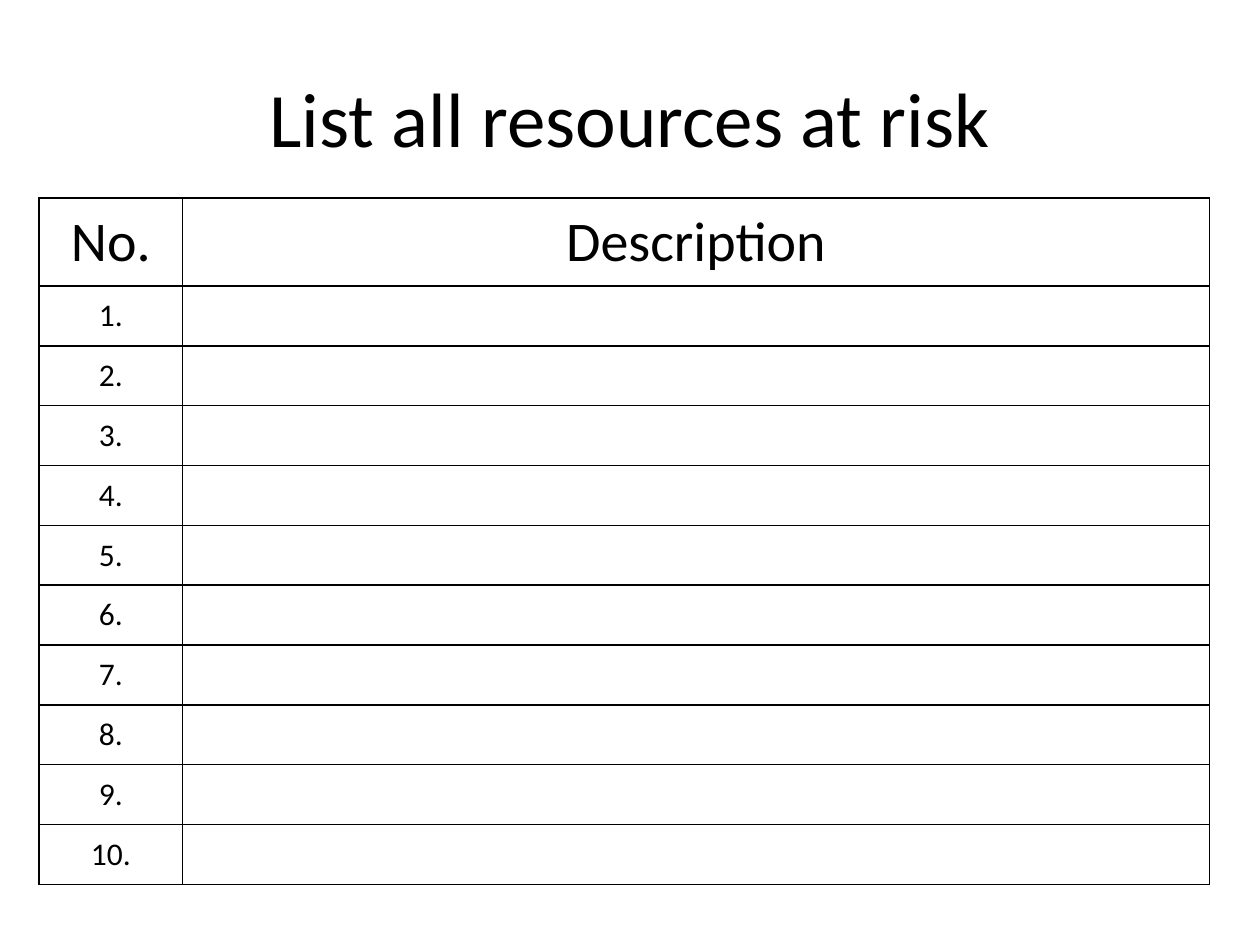
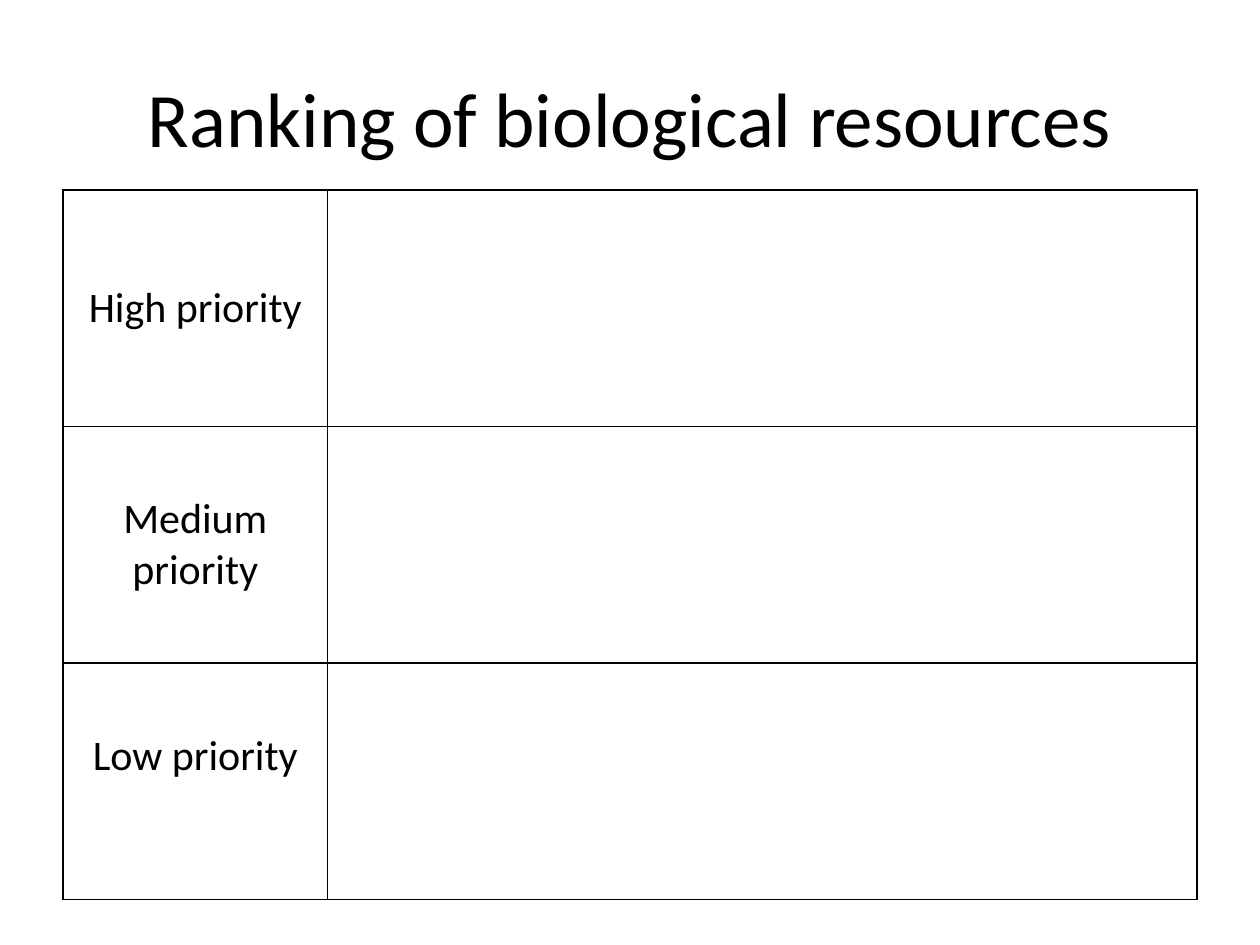
from lxml import etree
from pptx import Presentation
from pptx import util as u
from pptx.dml.color import RGBColor
from pptx.enum import text
from pptx.oxml import ns

# Content: row labels go in the first column, the rest is left to fill in
COLORS = {"ink": "000000", "paper": "FFFFFF"}
FONT = "Calibri"
TITLE_BOX = (0.5, 0.3, 9, 1.25)
SLIDES = [
    {
        "title": "List all resources at risk",
        "rows": [("No.", "Description")] + [(f"{number}.", "") for number in range(1, 11)],
        "origin": (0.31, 1.57),
        "columns": (1.14, 8.15),
        "heights": [0.7] + [0.475] * 10,
        "sizes": [32] + [18] * 10,
        "last_label_margin": 0.05,
    },
    {
        "title": "Ranking of biological resources",
        "rows": [("High priority", ""), ("Medium priority", ""), ("Low priority", "")],
        "origin": (0.5, 1.51),
        "columns": (2.1, 6.9),
        "heights": [1.876] * 3,
        "sizes": [24] * 3,
        "last_label_margin": 0.45,  # lifts the last label above the middle
    },
]


def write(frame, words, size, color="ink"):
    """Put one centred paragraph in a text frame."""
    paragraph = frame.paragraphs[0]
    paragraph.text = words
    paragraph.alignment = text.PP_ALIGN.CENTER
    paragraph.font.size = u.Pt(size)
    paragraph.font.name = FONT
    paragraph.font.bold = False
    paragraph.font.color.rgb = RGBColor.from_string(COLORS[color])


def add_borders(cell, width=1):
    """Draw all four sides; they must stand before the cell's fill."""
    properties = cell._tc.get_or_add_tcPr()
    for side in ("a:lnL", "a:lnR", "a:lnT", "a:lnB"):
        line = etree.SubElement(properties, ns.qn(side), w=str(u.Pt(width)))
        fill = etree.SubElement(line, ns.qn("a:solidFill"))
        etree.SubElement(fill, ns.qn("a:srgbClr"), val=COLORS["ink"])


def add_title(slide, words):
    title = slide.shapes.title
    title.left, title.top, title.width, title.height = map(u.Inches, TITLE_BOX)
    title.text_frame.vertical_anchor = text.MSO_ANCHOR.MIDDLE
    write(title.text_frame, words, 44)


def add_worksheet(slide, content):
    columns, heights = content["columns"], content["heights"]
    box = (*content["origin"], sum(columns), sum(heights))
    table = slide.shapes.add_table(len(heights), len(columns), *map(u.Inches, box)).table
    table.first_row = table.horz_banding = False
    for column, width in zip(table.columns, columns):
        column.width = u.Inches(width)
    for row, height, labels, size in zip(table.rows, heights, content["rows"], content["sizes"]):
        row.height = u.Inches(height)
        for cell, label in zip(row.cells, labels):
            add_borders(cell)
            cell.fill.solid()
            cell.fill.fore_color.rgb = RGBColor.from_string(COLORS["paper"])
            cell.vertical_anchor = text.MSO_ANCHOR.MIDDLE
            write(cell.text_frame, label, size)
    table.cell(len(heights) - 1, 0).margin_bottom = u.Inches(content["last_label_margin"])


def main():
    presentation = Presentation()
    presentation.slide_width, presentation.slide_height = u.Inches(10), u.Inches(7.5)
    title_only = presentation.slide_layouts[5]
    for content in SLIDES:
        slide = presentation.slides.add_slide(title_only)
        add_title(slide, content["title"])
        add_worksheet(slide, content)
    presentation.save("out.pptx")


if __name__ == "__main__":
    main()
